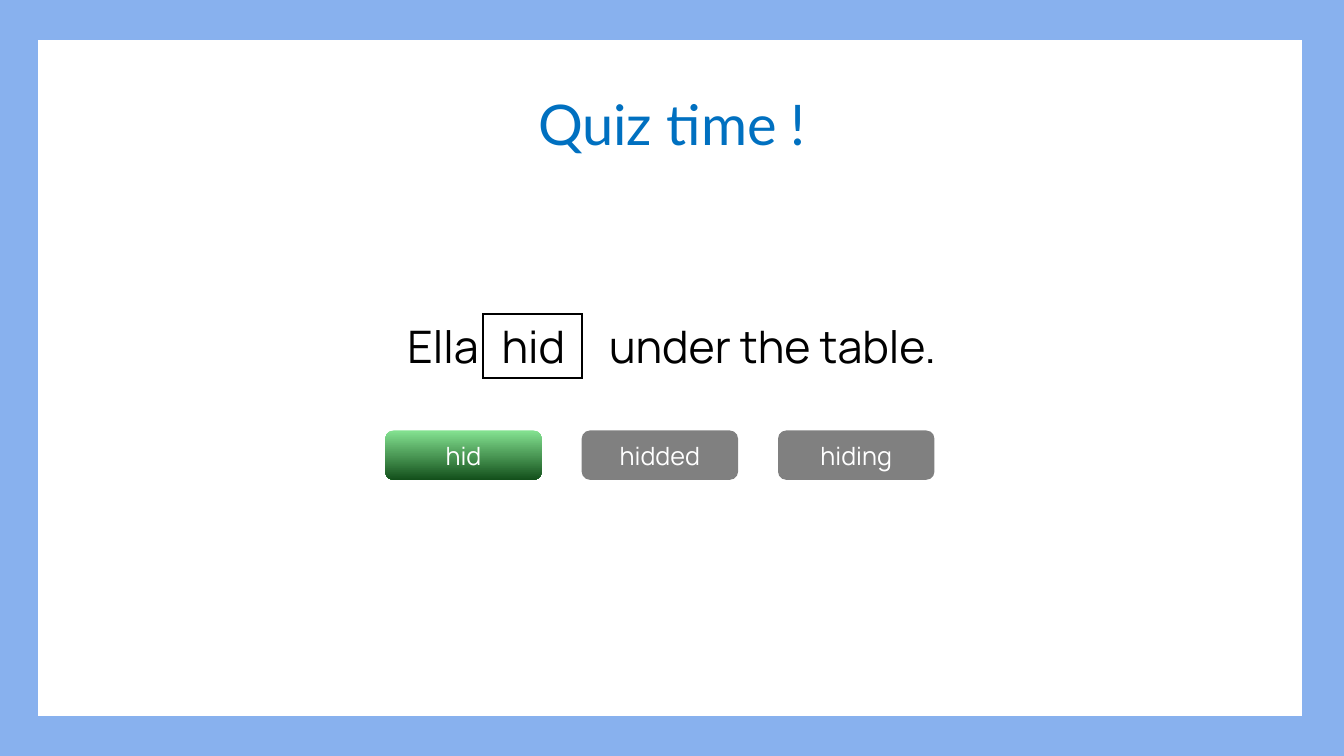
from dataclasses import dataclass

from lxml import etree
from pptx import Presentation
from pptx.dml.color import RGBColor
from pptx.enum.shapes import MSO_SHAPE
from pptx.enum.text import MSO_ANCHOR, MSO_AUTO_SIZE, PP_ALIGN
from pptx.oxml.ns import qn
from pptx.util import Pt

PX = 9525
TAB = 96
RECT = MSO_SHAPE.RECTANGLE
ROUND = MSO_SHAPE.ROUNDED_RECTANGLE
TOP = MSO_ANCHOR.TOP
MIDDLE = MSO_ANCHOR.MIDDLE
CENTER = PP_ALIGN.CENTER
NO_FIT = MSO_AUTO_SIZE.NONE


@dataclass(frozen=True)
class Theme:
    head_font: str = "Lato"
    body_font: str = "Manrope"
    head_size: int = 40
    body_size: int = 32
    label_size: int = 18
    head: str = "0070C0"
    ink: str = "000000"
    paper: str = "FFFFFF"
    border: str = "88B1EE"
    wrong: str = "808080"
    right: tuple = ("84E291", "13501B")


THEME = Theme()


def rgb(code):
    return RGBColor.from_string(code)


def emu(box):
    return [value * PX for value in box]


def write(frame, text, font, size, color, anchor, wrap):
    frame.text = text
    frame.auto_size = NO_FIT
    frame.word_wrap = wrap
    frame.vertical_anchor = anchor
    para = frame.paragraphs[0]
    para.alignment = CENTER
    para.font.name = font
    para.font.size = Pt(size)
    para.font.color.rgb = rgb(color)


def set_tabs(para, count):
    props = para._p.get_or_add_pPr()
    tabs = etree.Element(qn("a:tabLst"))
    for index in range(count):
        etree.SubElement(tabs, qn("a:tab"),
                         pos=str(TAB * PX * (index + 1)), algn="l")
    props.insert(0, tabs)


def add_title(slide, box, text):
    title = slide.shapes.title
    title.left, title.top, title.width, title.height = emu(box)
    write(title.text_frame, text, THEME.head_font, THEME.head_size,
          THEME.head, TOP, True)


def add_phrase(slide, box, text):
    frame = slide.shapes.add_textbox(*emu(box)).text_frame
    write(frame, text, THEME.body_font, THEME.body_size,
          THEME.ink, TOP, False)
    if "\t" in text:
        set_tabs(frame.paragraphs[0], text.count("\t"))


def add_frame(slide, box, color, width):
    shape = slide.shapes.add_shape(RECT, *emu(box))
    shape.shadow.inherit = False
    shape.fill.background()
    shape.line.color.rgb = rgb(color)
    shape.line.width = Pt(width)
    line = shape._element.spPr.find(qn("a:ln"))
    etree.SubElement(line, qn("a:miter"), lim="800000")


def add_choice(slide, box, text, correct):
    shape = slide.shapes.add_shape(ROUND, *emu(box))
    shape.shadow.inherit = False
    shape.line.fill.background()
    if correct:
        shape.fill.gradient()
        shape.fill.gradient_angle = 270
        for stop, color in zip(shape.fill.gradient_stops, THEME.right):
            stop.color.rgb = rgb(color)
    else:
        shape.fill.solid()
        shape.fill.fore_color.rgb = rgb(THEME.wrong)
    write(shape.text_frame, text, THEME.body_font, THEME.label_size,
          THEME.paper, MIDDLE, True)


def main():
    deck = Presentation()
    deck.slide_width, deck.slide_height = emu((1280, 720))
    slide = deck.slides.add_slide(deck.slide_layouts[5])
    slide.background.fill.solid()
    slide.background.fill.fore_color.rgb = rgb(THEME.paper)

    answer = "hid"
    add_title(slide, (166, 80, 948, 74), "Quiz time !")
    add_phrase(slide, (363, 299, 554, 61), "Ella\t\tunder the table.")
    for index, word in enumerate((answer, "hidded", "hiding")):
        add_choice(slide, (367 + 187 * index, 410, 149, 47), word,
                   word == answer)
    add_frame(slide, (460, 299, 94, 61), THEME.ink, 1.5)
    add_phrase(slide, (465, 299, 86, 61), answer)
    add_frame(slide, (16, 18, 1244, 684), THEME.border, 30)
    deck.save("out.pptx")


if __name__ == "__main__":
    main()
